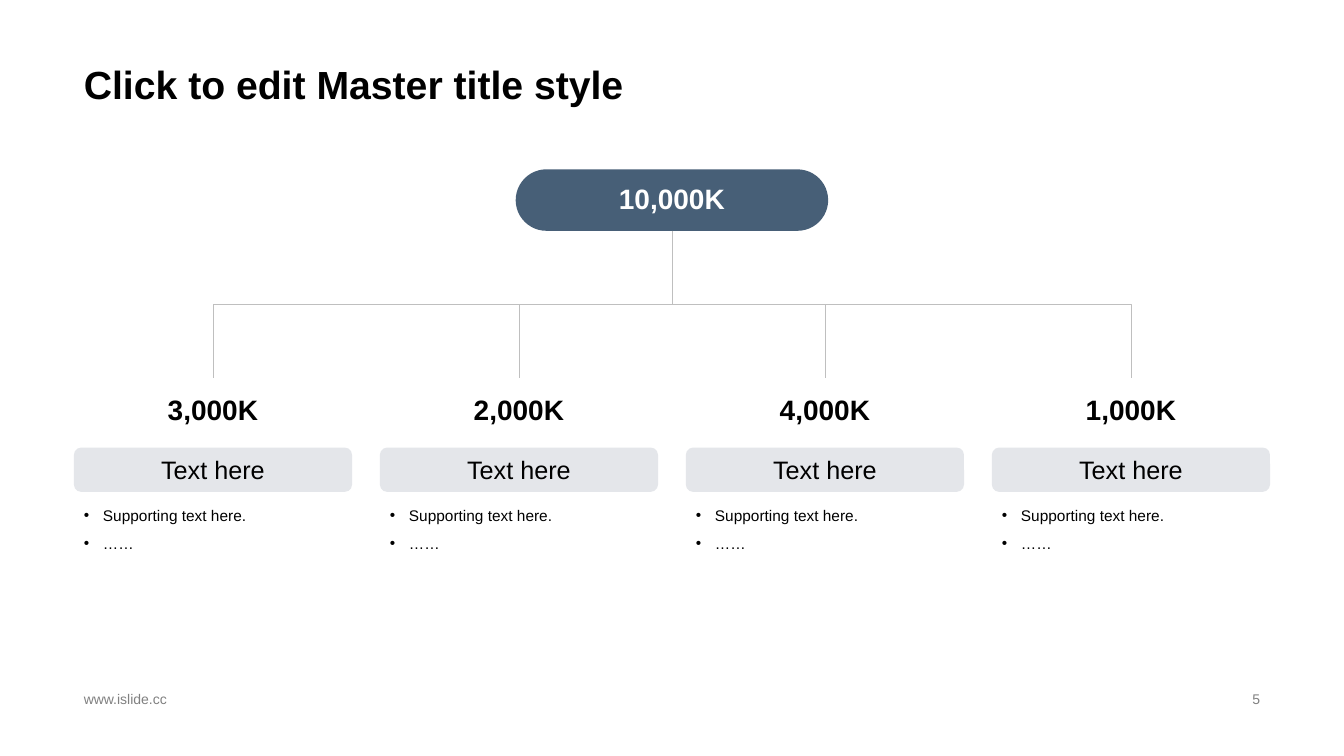
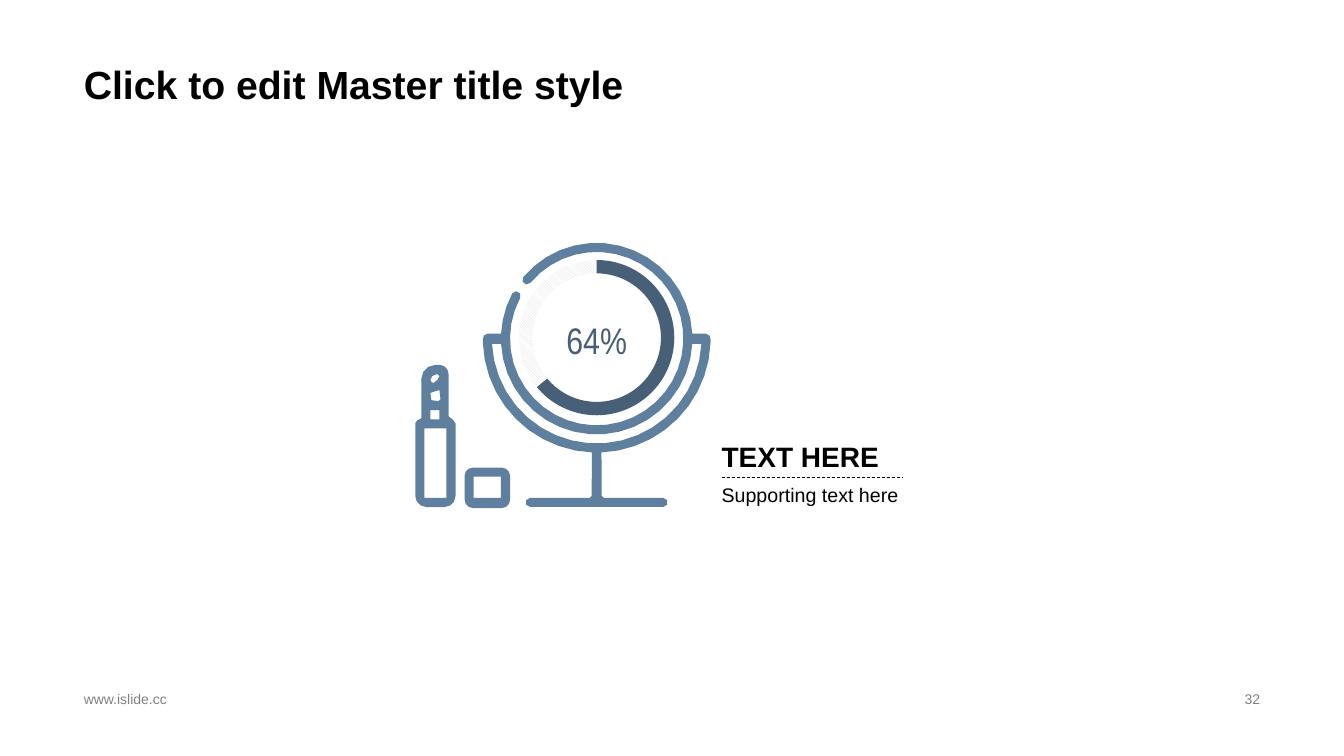
from collections import namedtuple
from math import cos, radians, sin

from lxml import etree
from pptx import Presentation
from pptx.dml.color import RGBColor
from pptx.enum.dml import MSO_LINE, MSO_PATTERN
from pptx.enum.shapes import MSO_CONNECTOR, MSO_SHAPE
from pptx.enum.text import MSO_ANCHOR, PP_ALIGN
from pptx.oxml.ns import qn
from pptx.util import Inches, Pt

Box = namedtuple("Box", "left top width height")

COLORS = {
    "text": "000000",
    "muted": "808080",
    "white": "FFFFFF",
    "dark": "475F77",
    "icon": "5F7F9F",
    "panel": "E4E6EA",
    "line": "BFBFBF",
    "hatch": "D9D9D9",
}
FONT = "Arial"
NARROW_FONT = "Arial Narrow"
LEFT, CENTER, RIGHT = PP_ALIGN.LEFT, PP_ALIGN.CENTER, PP_ALIGN.RIGHT
TOP, MIDDLE, BOTTOM = MSO_ANCHOR.TOP, MSO_ANCHOR.MIDDLE, MSO_ANCHOR.BOTTOM
ROUNDED = MSO_SHAPE.ROUNDED_RECTANGLE
DASH = MSO_LINE.DASH
HATCH = MSO_PATTERN.DARK_DOWNWARD_DIAGONAL
SIDE_TOP, SIDE_BOTTOM = 0, 2

SLIDE_HEIGHT = 7.5
SLIDE_WIDTH = SLIDE_HEIGHT * 16 / 9
MARGIN = SLIDE_WIDTH * 5.5 / 100
CONTENT_WIDTH = SLIDE_WIDTH - 2 * MARGIN
TITLE = "Click to edit Master title style"
SITE = "www.islide.cc"
BULLET_INDENT = 0.19


def color(name):
    """Return the named colour."""
    return RGBColor.from_string(COLORS[name])


def emu(box):
    """Convert a box in inches to lengths python-pptx takes."""
    return [Inches(value) for value in box]


def write(shape, lines, size, ink="text", bold=False, align=LEFT, anchor=TOP,
          spacing=None, wrap=True, bullet=None, font=FONT):
    """Fill a shape with one paragraph per line of text."""
    frame = shape.text_frame
    frame.word_wrap = wrap
    frame.vertical_anchor = anchor
    for index, line in enumerate(lines):
        paragraph = frame.add_paragraph() if index else frame.paragraphs[0]
        paragraph.alignment = align
        if spacing:
            paragraph.line_spacing = spacing
        if bullet:
            properties = paragraph._p.get_or_add_pPr()
            properties.set("marL", str(Inches(BULLET_INDENT)))
            properties.set("indent", str(-Inches(BULLET_INDENT)))
            etree.SubElement(properties, qn("a:buFont")).set("typeface", FONT)
            etree.SubElement(properties, qn("a:buChar")).set("char", bullet)
        run = paragraph.add_run()
        run.text = line
        run.font.name = font
        run.font.size = Pt(size)
        run.font.bold = bold
        run.font.color.rgb = color(ink)


def add_text(slide, box, lines, size, **style):
    """Add a text box and return it."""
    shape = slide.shapes.add_textbox(*emu(box))
    write(shape, lines, size, **style)
    return shape


def paint(shape, fill):
    """Give a shape a plain fill with no outline or shadow."""
    shape.shadow.inherit = False
    shape.fill.solid()
    shape.fill.fore_color.rgb = color(fill)
    shape.line.fill.background()


def add_filled(slide, kind, box, fill, adjustments=()):
    """Add a filled preset shape and return it."""
    shape = slide.shapes.add_shape(kind, *emu(box))
    for index, value in enumerate(adjustments):
        shape.adjustments[index] = value
    paint(shape, fill)
    return shape


def style_connector(connector, ink, width):
    """Set the line of a connector and remove its shadow."""
    connector.line.color.rgb = color(ink)
    connector.line.width = Pt(width)
    etree.SubElement(connector._element.spPr, qn("a:effectLst"))


def add_base_slide(presentation, number):
    """Add a slide with its title, site address and number."""
    slide = presentation.slides.add_slide(presentation.slide_layouts[6])
    add_text(slide, Box(MARGIN, 0, CONTENT_WIDTH, 1.12), [TITLE], 28,
             bold=True, anchor=BOTTOM, spacing=0.9)
    right = MARGIN + CONTENT_WIDTH
    for left, width, text, align in ((MARGIN, 4.53, SITE, LEFT),
                                     (right - 3.18, 3.18, str(number), RIGHT)):
        add_text(slide, Box(left, 6.82, width, 0.23), [text], 10,
                 ink="muted", align=align, anchor=MIDDLE)
    return slide


def connect_down(slide, parent, child):
    """Join the bottom of a parent to the top of a child with an elbow."""
    start_x, start_y = parent.left + parent.width // 2, parent.top + parent.height
    end_x, end_y = child.left + child.width // 2, child.top
    drop, reach = end_y - start_y, abs(end_x - start_x)
    connector = slide.shapes.add_connector(MSO_CONNECTOR.ELBOW, start_x, start_y, end_x, end_y)
    connector.begin_connect(parent, SIDE_BOTTOM)
    connector.end_connect(child, SIDE_TOP)
    connector.left = (start_x + end_x - drop) // 2
    connector.top = (start_y + end_y - reach) // 2
    connector.width, connector.height = drop, reach
    to_right = end_x > start_x
    transform = connector._element.spPr.xfrm
    transform.rot = 270 if to_right else 90
    transform.flipH, transform.flipV = to_right, False
    style_connector(connector, "line", 0.25)


def add_branch(slide, box, amount):
    """Add one column of the tree and return its amount label."""
    label = add_text(slide, Box(box.left, box.top, box.width, 0.62), [amount], 20,
                     bold=True, align=CENTER, anchor=MIDDLE, wrap=False)
    panel = add_filled(slide, ROUNDED, Box(box.left, box.top + 0.69, box.width, 0.44), "panel")
    write(panel, ["Text here"], 18, align=CENTER, anchor=MIDDLE)
    add_text(slide, Box(box.left, box.top + 1.13, box.width, 0.94),
             ["Supporting text here.", "……"], 11, spacing=1.5, bullet="•")
    return label


def add_tree(slide, box, total, amounts):
    """Add a total that splits into equal columns."""
    pill_width, column_width, branch_top = 3.1, 2.76, 2.07
    pill = add_filled(slide, ROUNDED,
                      Box(box.left + (box.width - pill_width) / 2, box.top, pill_width, 0.61),
                      "dark", [0.5])
    write(pill, [total], 20, ink="white", bold=True, align=CENTER, anchor=MIDDLE,
          spacing=0.9, wrap=False)
    pitch = (box.width - column_width) / (len(amounts) - 1)
    for index, amount in enumerate(amounts):
        column = Box(box.left + index * pitch, box.top + branch_top,
                     column_width, box.height - branch_top)
        connect_down(slide, pill, add_branch(slide, column, amount))


def polar(radius, angle):
    """Return a point at a clockwise angle in degrees from the right."""
    return radius * cos(radians(angle)), radius * sin(radians(angle))


def arc(radius, start, end, center=(0, 0)):
    """Return points along an arc, at least four and about one every nine degrees."""
    steps = max(3, round(abs(end - start) / 9)) if radius > 0.5 else 3
    points = (polar(radius, start + (end - start) * step / steps) for step in range(steps + 1))
    return [(center[0] + x, center[1] + y) for x, y in points]


def rectangle(left, top, right, bottom):
    """Return the contour of a rectangle."""
    return [(left, top), (right, top), (right, bottom), (left, bottom)]


def rounded(left, top, right, bottom, radius):
    """Return the contour of a rectangle with round corners."""
    centers = rectangle(left + radius, top + radius, right - radius, bottom - radius)
    return [point for turn, center in enumerate(centers)
            for point in arc(radius, 90 * turn - 180, 90 * turn - 90, center)]


def add_outline(slide, origin, contours):
    """Add one filled freeform made of contours around an origin."""
    placed = [[(Inches(origin[0] + x), Inches(origin[1] + y)) for x, y in contour]
              for contour in contours]
    builder = slide.shapes.build_freeform(*placed[0][0])
    for index, contour in enumerate(placed):
        if index:
            builder.move_to(*contour[0])
        builder.add_line_segments(contour[1:], close=True)
    paint(builder.convert_to_shape(), "icon")


def add_mirror(slide, center):
    """Add the mirror frame, its cradle and its stand."""
    outer, inner, cradle_outer, cradle_inner = 0.95, 0.86, 1.13, 1.04
    middle, cap = (outer + inner) / 2, (outer - inner) / 2
    gap_start, gap_end = 208, 220
    base_top, base_reach, stem = 1.58, 0.66, 0.05
    base_middle = base_top + cap
    bracket = [(1.08, -0.05), (1.12, -0.03), (1.13, 0.01)]
    silhouette = (
        arc(outer, gap_end, 357) + bracket + arc(cradle_outer, 2, 87.6)
        + [(stem, base_top - 0.02), (stem + 0.02, base_top)]
        + arc(cap, -90, 90, (base_reach, base_middle))
        + arc(cap, 90, 270, (-base_reach, base_middle))
        + [(-stem - 0.02, base_top), (-stem, base_top - 0.02)]
        + arc(cradle_outer, 92.4, 178) + [(-x, y) for x, y in reversed(bracket)]
        + arc(outer, 183, gap_start)
        + arc(cap, gap_start, gap_start + 180, polar(middle, gap_start))
        + arc(inner, gap_start, gap_end - 360)
        + arc(cap, gap_end - 180, gap_end, polar(middle, gap_end))
    )
    slot = arc(cradle_inner, 177.2, 2.8) + arc(outer, 3.1, 176.9)
    add_outline(slide, center, [silhouette, slot])


def add_lipstick(slide, origin):
    """Add the lipstick with its tip, bands and case."""
    silhouette = (
        [(0.06, 0.52)] + arc(0.14, 180, 270, (0.2, 0.16)) + arc(0.09, 280, 360, (0.24, 0.11))
        + [(0.33, 0.53), (0.37, 0.56), (0.4, 0.6)]
        + arc(0.11, 0, 90, (0.29, 1.32)) + arc(0.11, 90, 180, (0.11, 1.32))
        + [(0, 0.6), (0.02, 0.57), (0.06, 0.55)]
    )
    highlight = [(0.15, 0.17), (0.17, 0.13), (0.22, 0.11), (0.24, 0.13),
                 (0.22, 0.17), (0.18, 0.2), (0.16, 0.19)]
    band = [(0.15, 0.3), (0.17, 0.29), (0.24, 0.27), (0.25, 0.36), (0.23, 0.38), (0.16, 0.37)]
    add_outline(slide, origin, [silhouette, highlight, band,
                                rectangle(0.15, 0.47, 0.24, 0.56),
                                rectangle(0.09, 0.65, 0.31, 1.34)])


def add_gauge(slide, center, share):
    """Add a ring that shows a share, with the share written inside."""
    size, thickness, degrees_to_adjustment = 1.54, 0.086, 0.6
    box = Box(center[0] - size / 2, center[1] - size / 2, size, size)
    track = add_filled(slide, MSO_SHAPE.DONUT, box, "white", [thickness])
    track.fill.patterned()
    track.fill.pattern = HATCH
    track.fill.fore_color.rgb = color("hatch")
    track.fill.back_color.rgb = color("white")
    end = (270 + 360 * share) % 360
    add_filled(slide, MSO_SHAPE.BLOCK_ARC, box, "dark",
               [270 * degrees_to_adjustment, end * degrees_to_adjustment, thickness])
    label = add_text(slide, Box(center[0] - 0.35, center[1] - 0.2, 0.7, 0.4), [f"{share:.0%}"],
                     26.4, ink="dark", align=CENTER, wrap=False, font=NARROW_FONT)
    frame = label.text_frame
    frame.margin_left = frame.margin_right = frame.margin_top = frame.margin_bottom = 0


def add_vanity(slide, box, share):
    """Add the vanity set with a gauge in its mirror."""
    bottom = box.top + box.height
    add_mirror(slide, (box.left + 1.8, box.top + 0.95))
    add_lipstick(slide, (box.left, bottom - 1.44))
    add_outline(slide, (box.left + 0.49, bottom - 0.4),
                [rounded(0, 0, 0.45, 0.4, 0.08), rectangle(0.09, 0.09, 0.36, 0.3)])
    add_gauge(slide, (box.left + 1.8, box.top + 0.94), share)


def add_caption(slide, box, heading, detail):
    """Add a heading and a detail with a dashed rule between them."""
    half = box.height / 2
    middle = box.top + half
    rule = slide.shapes.add_connector(
        MSO_CONNECTOR.STRAIGHT, Inches(box.left + 0.1), Inches(middle),
        Inches(box.left + 1.9), Inches(middle))
    style_connector(rule, "text", 0.5)
    rule.line.dash_style = DASH
    add_text(slide, Box(box.left, box.top, box.width, half), [heading], 20,
             bold=True, anchor=BOTTOM, wrap=False)
    add_text(slide, Box(box.left, middle, box.width, half), [detail], 14, wrap=False)


def main():
    """Build and save both slides."""
    presentation = Presentation()
    presentation.slide_width, presentation.slide_height = Inches(SLIDE_WIDTH), Inches(SLIDE_HEIGHT)
    slide = add_base_slide(presentation, 5)
    add_tree(slide, Box(MARGIN, 1.68, CONTENT_WIDTH, 4.14), "10,000K",
             ["3,000K", "2,000K", "4,000K", "1,000K"])
    slide = add_base_slide(presentation, 32)
    add_vanity(slide, Box(4.12, 2.41, 2.94, 2.63), 0.64)
    add_caption(slide, Box(7.06, 4.3, 2.15, 0.88), "TEXT HERE", "Supporting text here")
    presentation.save("out.pptx")


if __name__ == "__main__":
    main()
